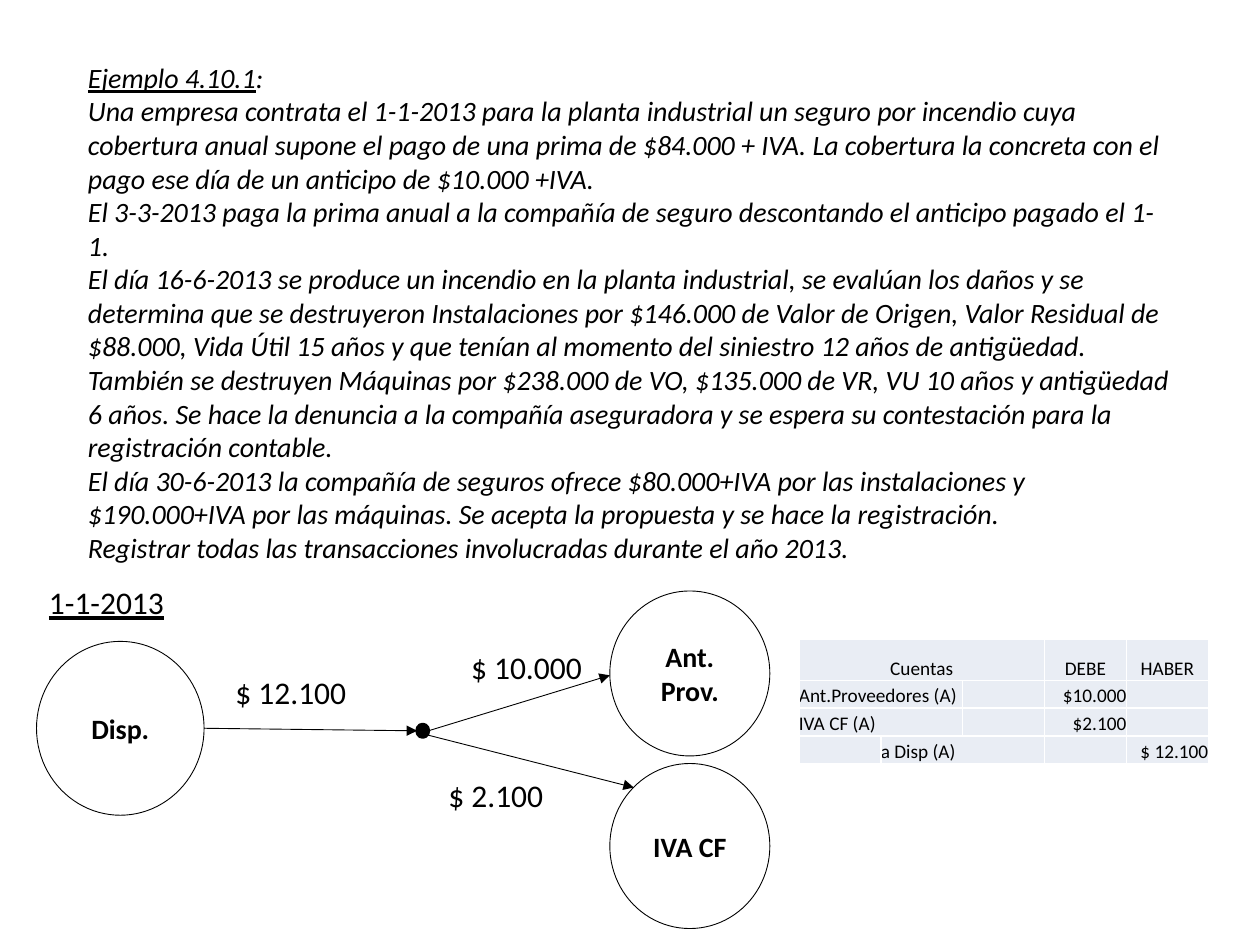
from lxml.etree import SubElement
from pptx import Presentation
from pptx.dml.color import RGBColor
from pptx.enum.shapes import MSO_CONNECTOR, MSO_SHAPE
from pptx.enum.text import MSO_ANCHOR, MSO_AUTO_SIZE, PP_ALIGN
from pptx.oxml.ns import qn
from pptx.util import Inches, Pt

BLACK = RGBColor(0x00, 0x00, 0x00)
PALE = RGBColor(0xE9, 0xED, 0xF4)

# The grid has 100 columns and 75 rows of a tenth of an inch
STEP = Inches(0.1)

STATEMENT = [
    "Una empresa contrata el 1-1-2013 para la planta industrial un seguro por incendio cuya "
    "cobertura anual supone el pago de una prima de $84.000 + IVA. La cobertura la concreta "
    "con el pago ese día de un anticipo de $10.000 +IVA.",
    "El 3-3-2013 paga la prima anual a la compañía de seguro descontando el anticipo pagado "
    "el 1-1.",
    "El día 16-6-2013 se produce un incendio en la planta industrial, se evalúan los daños y "
    "se determina que se destruyeron Instalaciones por $146.000 de Valor de Origen, Valor "
    "Residual de $88.000, Vida Útil 15 años y que tenían al momento del siniestro 12 años de "
    "antigüedad. También se destruyen Máquinas por $238.000 de VO, $135.000 de VR, VU 10 años "
    "y antigüedad 6 años. Se hace la denuncia a la compañía aseguradora y se espera su "
    "contestación para la registración contable.",
    "El día 30-6-2013 la compañía de seguros ofrece $80.000+IVA por las instalaciones y "
    "$190.000+IVA por las máquinas. Se acepta la propuesta y se hace la registración.",
    "Registrar todas las transacciones involucradas durante el año 2013.",
]


def grid(*units):
    return [round(unit * STEP) for unit in units]


class Sheet:
    """Holds the style and the slide being filled."""

    def __init__(self, page, font="Calibri", ink=BLACK):
        self.page, self.font, self.ink = page, font, ink

    def style(self, para, size, bold=False, italic=None, underline=None, align=None):
        font = para.font
        font.name, font.size, font.bold = self.font, Pt(size), bold
        font.italic, font.underline = italic, underline
        font.color.rgb = self.ink
        para.alignment = align

    def statement(self, area, title, texts):
        box = self.page.shapes.add_textbox(*grid(*area))
        frame = box.text_frame
        frame.word_wrap = True
        frame.auto_size = MSO_AUTO_SIZE.SHAPE_TO_FIT_TEXT
        heading = frame.paragraphs[0]
        span = heading.add_run()
        span.text = title
        span.font.underline = True
        heading.add_run().text = ":"
        for text in texts:
            frame.add_paragraph().text = text
        for para in frame.paragraphs:
            self.style(para, 16, italic=True)

    def label(self, area, text, underline=None):
        frame = self.page.shapes.add_textbox(*grid(*area)).text_frame
        frame.word_wrap = False
        frame.auto_size = MSO_AUTO_SIZE.SHAPE_TO_FIT_TEXT
        frame.text = text
        self.style(frame.paragraphs[0], 18, underline=underline)

    def circle(self, area, text="", filled=False):
        shape = self.page.shapes.add_shape(MSO_SHAPE.OVAL, *grid(*area))
        shape.shadow.inherit = False
        shape.line.color.rgb = self.ink
        shape.line.width = Pt(2 if filled else 0.5)
        if filled:
            shape.fill.solid()
            shape.fill.fore_color.rgb = self.ink
        else:
            shape.fill.background()
        frame = shape.text_frame
        frame.vertical_anchor = MSO_ANCHOR.MIDDLE
        frame.text = text
        for para in frame.paragraphs:
            self.style(para, 16, bold=True, align=PP_ALIGN.CENTER)

    def arrow(self, start, end):
        line = self.page.shapes.add_connector(MSO_CONNECTOR.STRAIGHT, *grid(*start, *end))
        line.line.color.rgb = self.ink
        line.line.width = Pt(0.5)
        SubElement(line.line._get_or_add_ln(), qn("a:tailEnd"), type="triangle")
        SubElement(line._element.spPr, qn("a:effectLst"))

    def ledger(self, corner, column, heights, entries, merges):
        count = 5
        table = self.page.shapes.add_table(
            len(heights), count, *grid(*corner, column * count, sum(heights))).table
        table.first_row = table.horz_banding = False
        for item in table.columns:
            item.width = grid(column)[0]
        for item, height in zip(table.rows, heights):
            item.height = grid(height)[0]
        for row in range(len(heights)):
            for col in range(count):
                cell = table.cell(row, col)
                cell.fill.solid()
                cell.fill.fore_color.rgb = PALE
                cell.vertical_anchor = MSO_ANCHOR.BOTTOM
                cell.margin_left = cell.margin_right = 0
                cell.margin_top = cell.margin_bottom = 0
                cell.text = entries.get((row, col), "")
                # Headings are centred, amounts sit right, accounts left
                align = (PP_ALIGN.CENTER if row == 0 else
                         PP_ALIGN.RIGHT if col > 2 else PP_ALIGN.LEFT)
                self.style(cell.text_frame.paragraphs[0], 11, align=align)
        for row, first, last in merges:
            table.cell(row, first).merge(table.cell(row, last))


def main():
    deck = Presentation()
    deck.slide_width, deck.slide_height = grid(100, 75)
    sheet = Sheet(deck.slides.add_slide(deck.slide_layouts[6]))

    # Wording of the exercise
    sheet.statement((6, 4.3, 88, 41.4), "Ejemplo 4.10.1", STATEMENT)

    # Flow of the payment
    sheet.label((2.9, 45.8, 11.2, 4), "1-1-2013", underline=True)
    sheet.circle((2.9, 50.9, 13.3, 13.8), "Disp.")
    sheet.circle((33.1, 57.5, 0.9, 1), filled=True)
    for top, text in ((46.9, "Ant.\nProv."), (60.6, "IVA CF")):
        sheet.circle((48.4, top, 12.7, 13.1), text)
    for start, end in (((16.2, 57.8), (33.1, 58)),
                       ((34, 58), (48.4, 53.6)),
                       ((33.8, 58.3), (50.3, 62.5))):
        sheet.arrow(start, end)
    for left, top, width, text in ((17.7, 52.9, 10.9, "$ 12.100"),
                                   (36.4, 50.9, 10.9, "$ 10.000"),
                                   (34.6, 61.1, 10.2, "$ 2.100")):
        sheet.label((left, top, width, 4), text)

    # Journal entry
    sheet.ledger(
        (63.4, 50.7), 6.5, (3.3, 2.2, 2.2, 2.2),
        {(0, 0): "Cuentas", (0, 3): "DEBE", (0, 4): "HABER",
         (1, 0): "Ant.Proveedores (A)", (1, 3): "$10.000",
         (2, 0): "IVA CF (A)", (2, 3): "$2.100",
         (3, 1): "a Disp (A)", (3, 4): "$ 12.100"},
        ((0, 0, 2), (1, 0, 1), (2, 0, 1), (3, 1, 2)))

    deck.save("out.pptx")


if __name__ == "__main__":
    main()
